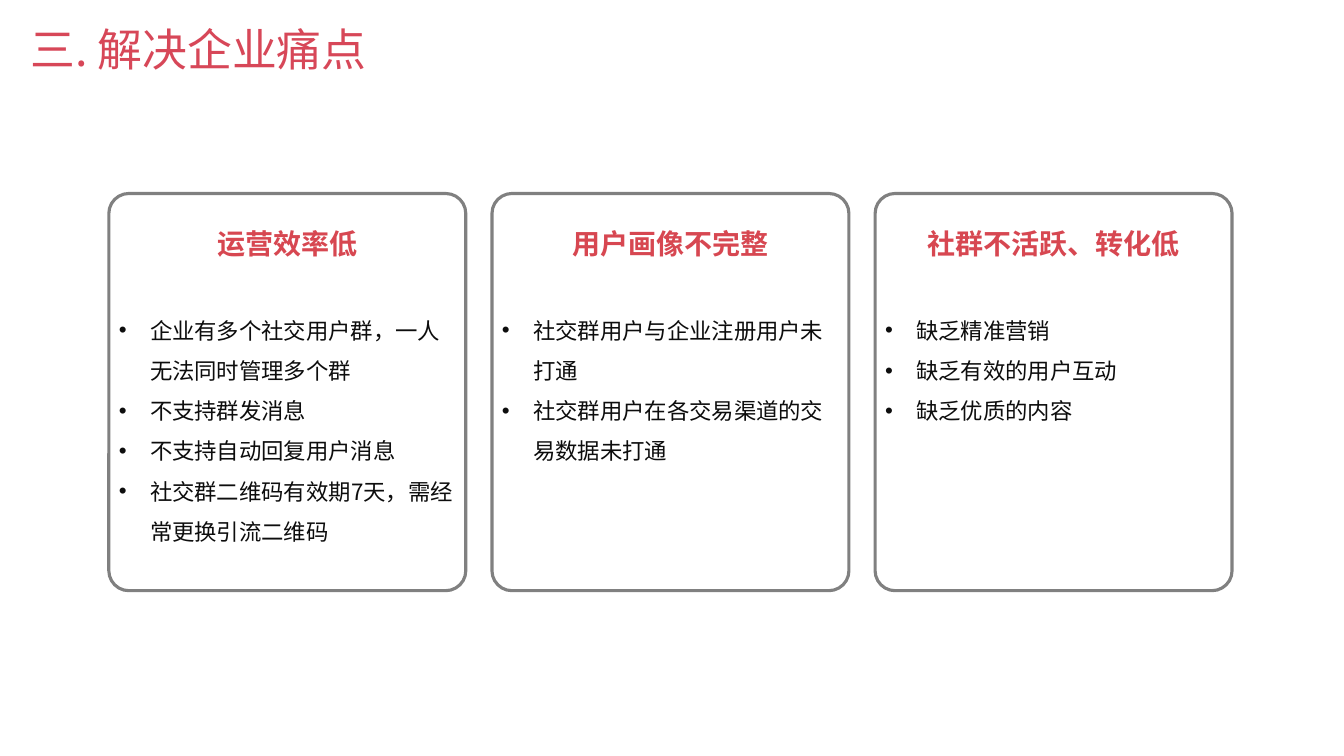
from lxml import etree
from pptx import Presentation
from pptx.dml.color import RGBColor
from pptx.enum.shapes import MSO_SHAPE
from pptx.enum.text import MSO_ANCHOR, PP_ALIGN
from pptx.oxml.ns import qn
from pptx.util import Inches, Pt

ROUNDED = MSO_SHAPE.ROUNDED_RECTANGLE
TOP, BOTTOM = MSO_ANCHOR.TOP, MSO_ANCHOR.BOTTOM
LEFT, CENTER = PP_ALIGN.LEFT, PP_ALIGN.CENTER
FONT = "Noto Sans CJK SC"


def color(hex_code):
    return RGBColor.from_string(hex_code)


def add_text(page, bounds, lines, size, hex_code, bold=False, align=LEFT,
             anchor=TOP, left_inset=0.1, bulleted=False):
    box = page.shapes.add_textbox(*[Inches(value) for value in bounds])
    frame = box.text_frame
    frame_format = {"word_wrap": True, "vertical_anchor": anchor,
                    "margin_left": Inches(left_inset)}
    for name, value in frame_format.items():
        setattr(frame, name, value)
    for index, line in enumerate(lines):
        para = frame.paragraphs[0] if index == 0 else frame.add_paragraph()
        para.alignment = align
        if bulleted:
            para.line_spacing = 1.5
            properties = para._p.get_or_add_pPr()
            properties.set("marL", str(Inches(0.31)))
            properties.set("indent", str(-Inches(0.31)))
            etree.SubElement(properties, qn("a:buFont")).set("typeface", "Arial")
            etree.SubElement(properties, qn("a:buChar")).set("char", "•")
        span = para.add_run()
        span.text = line
        font_format = {"name": FONT, "size": Pt(size), "bold": bold}
        for name, value in font_format.items():
            setattr(span.font, name, value)
        span.font.color.rgb = color(hex_code)
        east_asian = etree.SubElement(span._r.get_or_add_rPr(), qn("a:ea"))
        east_asian.set("typeface", FONT)


deck = Presentation()
deck.slide_width, deck.slide_height = Inches(13.33), Inches(7.5)
page = deck.slides.add_slide(deck.slide_layouts[6])

# Slide title
add_text(page, (0, 0.01, 13.33, 0.79), ["三. 解决企业痛点"], 32, "D74758",
         anchor=BOTTOM, left_inset=0.3)

# Pain point cards
cards = [
    ("运营效率低", ["企业有多个社交用户群，一人无法同时管理多个群",
                "不支持群发消息",
                "不支持自动回复用户消息",
                "社交群二维码有效期7天，需经常更换引流二维码"]),
    ("用户画像不完整", ["社交群用户与企业注册用户未打通",
                  "社交群用户在各交易渠道的交易数据未打通"]),
    ("社群不活跃、转化低", ["缺乏精准营销", "缺乏有效的用户互动", "缺乏优质的内容"]),
]
first_left, card_step, card_width = 1.08, 3.8, 3.54

for index, (heading, points) in enumerate(cards):
    left = first_left + index * card_step
    card = page.shapes.add_shape(ROUNDED, Inches(left), Inches(1.92),
                                 Inches(card_width), Inches(3.94))
    card.adjustments[0] = 0.056
    card.shadow.inherit = False
    card.fill.background()
    card.line.color.rgb = color("808080")
    card.line.width = Pt(2.25)
    add_text(page, (left, 2.2, card_width, 0.44), [heading], 20, "D74751",
             bold=True, align=CENTER)
    add_text(page, (left, 2.96, card_width, 2.52), points, 16, "0D0D0D",
             bulleted=True)

deck.save("out.pptx")
